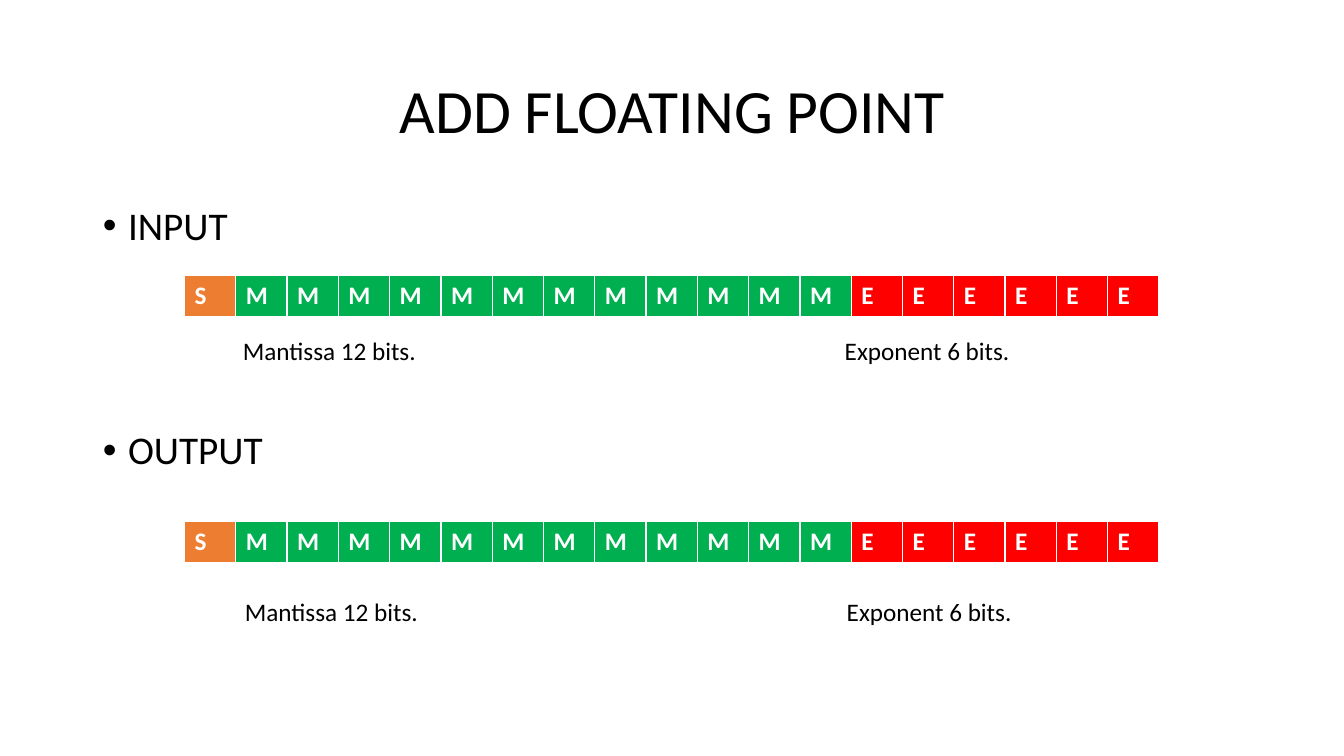
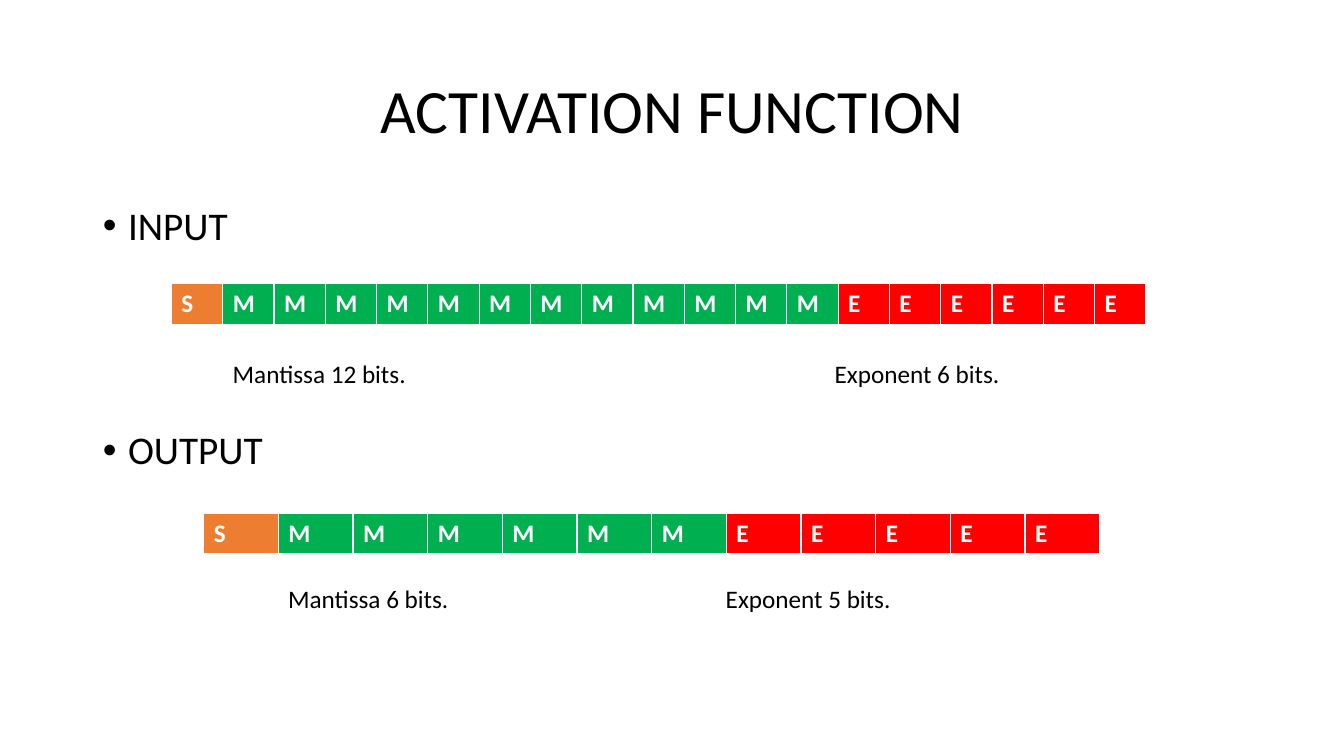
import pptx
import pptx.util
import pptx.dml.color
import pptx.enum.text
from lxml import etree

Inches, Pt = pptx.util.Inches, pptx.util.Pt
RGB = pptx.dml.color.RGBColor

BLACK = RGB(0x00, 0x00, 0x00)
WHITE = RGB(0xFF, 0xFF, 0xFF)
FILLS = {
    "S": RGB(0xED, 0x7D, 0x31),
    "M": RGB(0x00, 0xB0, 0x50),
    "E": RGB(0xFF, 0x00, 0x00),
}

FACE = "Calibri"
HEAD = {"name": FACE, "size": Pt(44), "color": BLACK}
ITEM = {"name": FACE, "size": Pt(28), "color": BLACK}
NOTE = {"name": FACE, "size": Pt(18), "color": BLACK}
BIT = {"name": FACE, "size": Pt(18), "color": WHITE, "bold": True}

# Left, top, width, height of the two placeholders
FRAMES = {0: (0.92, 0.4, 11.5, 1.45), 1: (0.92, 2, 11.5, 4.76)}
ITEMS = [("INPUT", 10), ("OUTPUT", 130)]  # text, points of space before

# Each word: counts of mantissa and exponent bits, table frame,
# label left, top and width, and the tab of the second label
SLIDES = [
    ("ADD FLOATING POINT", [
        (12, 6, (1.83, 2.73, 9.67, 0.41), (2.31, 3.28, 9.17), 5.97),
        (12, 6, (1.83, 5.17, 9.67, 0.41), (2.33, 5.87, 9.17), 5.97),
    ]),
    ("ACTIVATION FUNCTION", [
        (12, 6, (1.7, 2.81, 9.67, 0.41), (2.21, 3.51, 9.17), 5.97),
        (6, 5, (2.02, 5.09, 8.89, 0.38), (2.76, 5.74, 7.17), 4.34),
    ]),
]


def style(font, form):
    for key, val in form.items():
        if key == "color":
            font.color.rgb = val
        else:
            setattr(font, key, val)


def write(para, text, form):
    run = para.add_run()
    run.text = text
    style(run.font, form)


def place(shape, frame):
    for key, val in zip(("left", "top", "width", "height"), frame):
        setattr(shape, key, Inches(val))


def add_word(slide, bits, frame):
    """Draw one binary word as a row of coloured cells."""
    table = slide.shapes.add_table(
        1, len(bits), *map(Inches, frame)).table
    for col, bit in enumerate(bits):
        table.columns[col].width = Inches(frame[2] / len(bits))
        cell = table.cell(0, col)
        cell.fill.solid()
        cell.fill.fore_color.rgb = FILLS[bit]
        write(cell.text_frame.paragraphs[0], bit, BIT)


def add_label(slide, man, exp, spot, tab):
    box = slide.shapes.add_textbox(*map(Inches, (*spot, 0.4)))
    box.text_frame.word_wrap = True
    para = box.text_frame.paragraphs[0]
    write(para, f"Mantissa {man} bits.\tExponent {exp} bits.", NOTE)
    props = para._p.get_or_add_pPr()
    name = pptx.oxml.ns.qn
    stops = etree.SubElement(props, name("a:tabLst"))
    etree.SubElement(stops, name("a:tab"), pos=str(Inches(tab)), algn="l")


def add_items(body):
    frame = body.text_frame
    frame.auto_size = pptx.enum.text.MSO_AUTO_SIZE.NONE
    for row, (text, gap) in enumerate(ITEMS):
        para = frame.add_paragraph() if row else frame.paragraphs[0]
        para.line_spacing = 0.9
        para.space_before = Pt(gap)
        props = para._p.get_or_add_pPr()
        props.set("marL", str(Inches(0.25)))
        props.set("indent", str(-Inches(0.25)))
        write(para, text, ITEM)


def main():
    deck = pptx.Presentation()
    deck.slide_width, deck.slide_height = Inches(13.33), Inches(7.5)
    layout = deck.slide_layouts[1]
    for shape in layout.placeholders:
        if shape.placeholder_format.idx in FRAMES:
            place(shape, FRAMES[shape.placeholder_format.idx])
    for title, words in SLIDES:
        slide = deck.slides.add_slide(layout)
        para = slide.shapes.title.text_frame.paragraphs[0]
        para.line_spacing = 0.9
        write(para, title, HEAD)
        add_items(slide.placeholders[1])
        for man, exp, frame, spot, tab in words:
            add_word(slide, "S" + "M" * man + "E" * exp, frame)
            add_label(slide, man, exp, spot, tab)
    deck.save("out.pptx")


if __name__ == "__main__":
    main()
